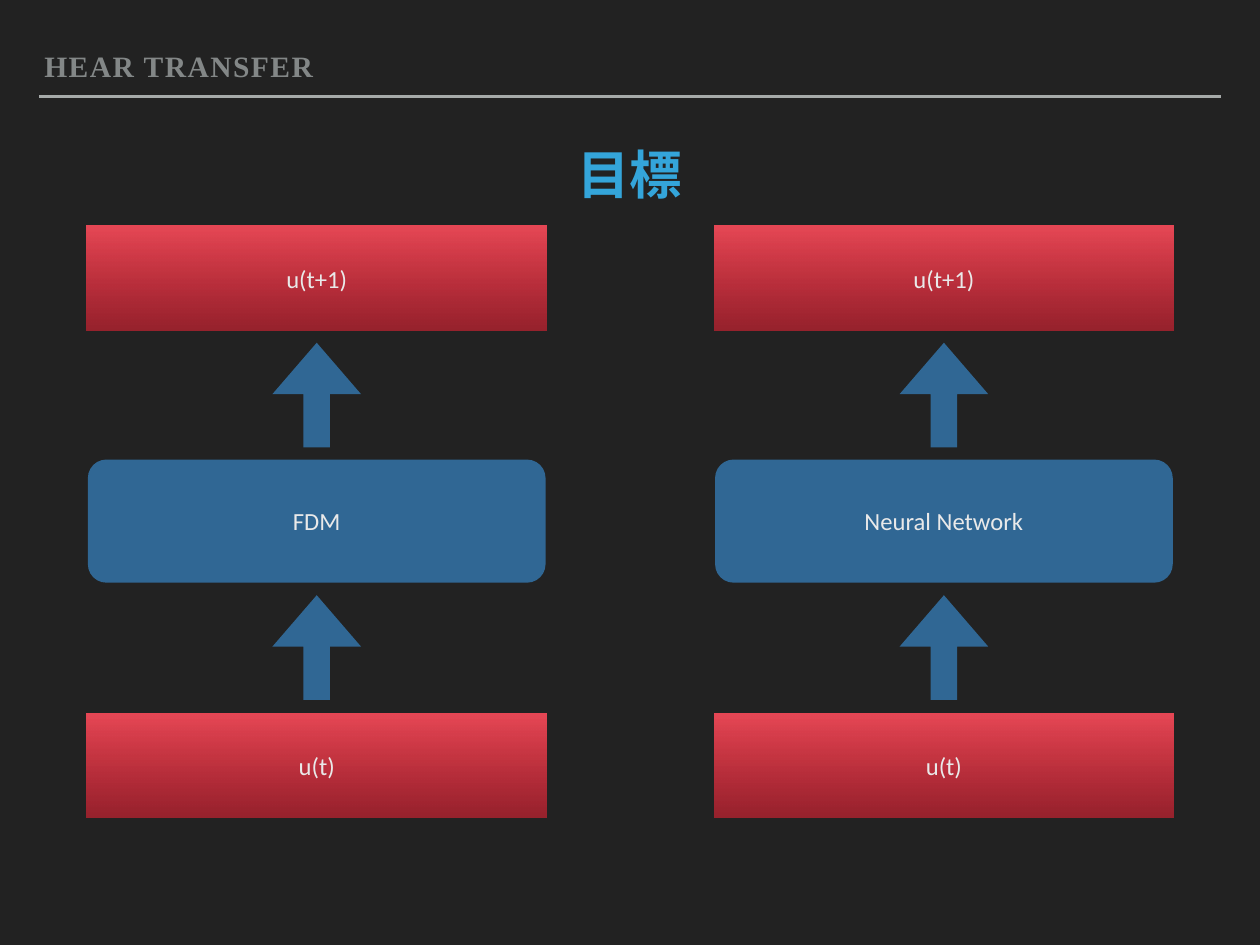
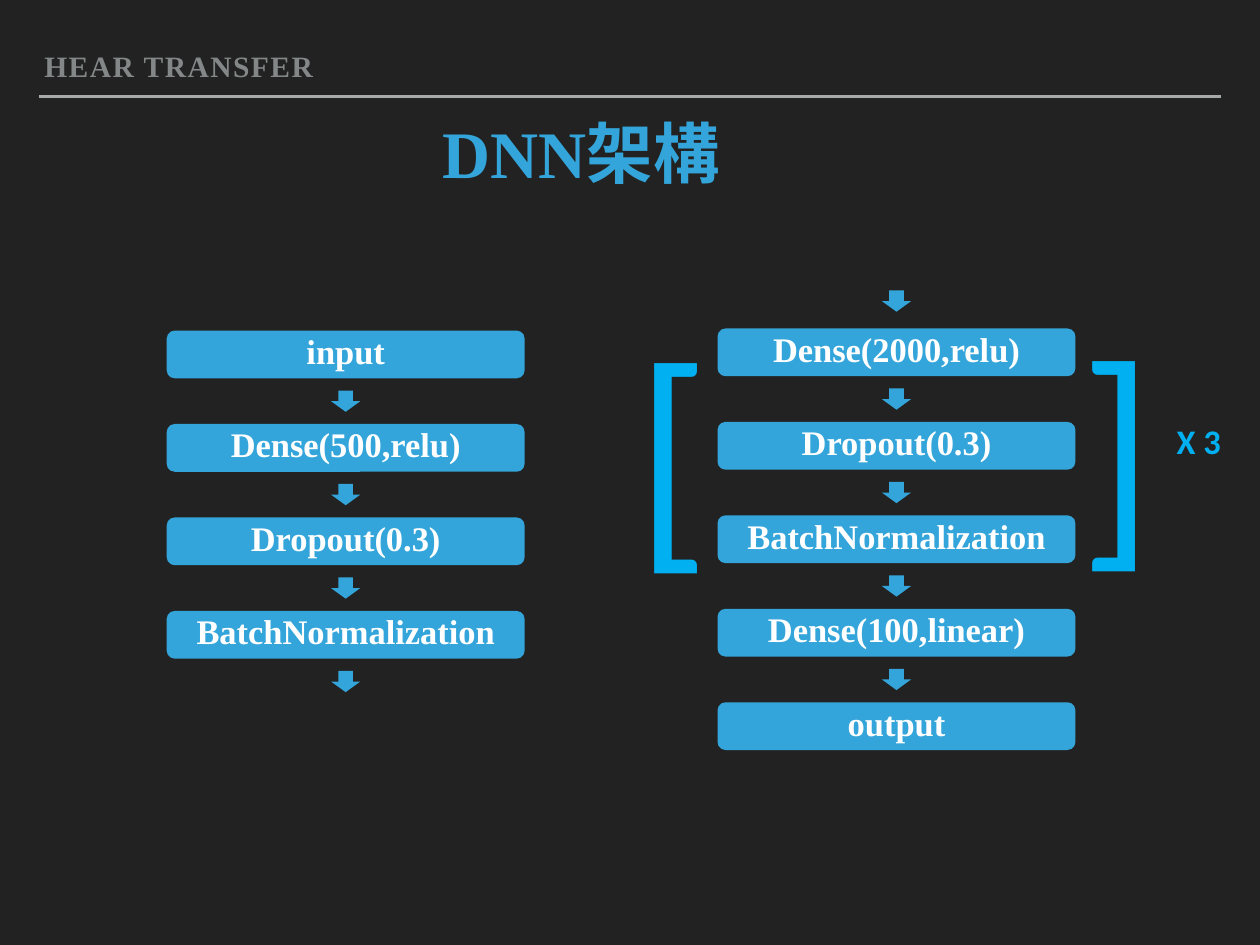
from dataclasses import dataclass

import lxml.etree
import pptx
import pptx.dml.color
import pptx.enum.shapes
import pptx.enum.text
import pptx.oxml.ns
import pptx.presentation
import pptx.shapes.autoshape
import pptx.shapes.base
import pptx.slide
import pptx.text.text
import pptx.util

Cm = pptx.util.Cm
Pt = pptx.util.Pt
RGB = pptx.dml.color.RGBColor
Shape = pptx.enum.shapes.MSO_SHAPE
Align = pptx.enum.text.PP_ALIGN
Anchor = pptx.enum.text.MSO_ANCHOR
qn = pptx.oxml.ns.qn


@dataclass(frozen=True)
class TextStyle:
    size: float
    color: str
    font: str = "Times New Roman"
    bold: bool = True
    align: Align = Align.CENTER
    anchor: Anchor = Anchor.MIDDLE
    line_spacing: float = 0.8
    wrap: bool = True


@dataclass(frozen=True)
class Theme:
    background: str = "222222"
    rule: str = "A6AAA9"
    sky: str = "34A5DA"
    steel: str = "306794"
    red_top: str = "E84856"
    red_bottom: str = "E32335"
    red_bottom_alpha: int = 60
    inset: float = 0.15
    header: TextStyle = TextStyle(24, "838787", align=Align.LEFT, anchor=Anchor.BOTTOM)
    goal_title: TextStyle = TextStyle(42.6, "34A5DA", anchor=Anchor.TOP)
    network_title: TextStyle = TextStyle(54, "34A5DA", anchor=Anchor.TOP)
    state: TextStyle = TextStyle(20, "E9E9E9", "Calibri", False, line_spacing=1)
    layer: TextStyle = TextStyle(28, "FFFFFF")
    repeat: TextStyle = TextStyle(28, "00B0F0", "Calibri", align=Align.LEFT, line_spacing=1)
    bracket: TextStyle = TextStyle(
        199, "00B0F0", "Calibri", False, Align.LEFT, line_spacing=1, wrap=False
    )


@dataclass(frozen=True)
class Area:
    left: float
    top: float
    width: float
    height: float

    def lengths(self) -> tuple[int, int, int, int]:
        return Cm(self.left), Cm(self.top), Cm(self.width), Cm(self.height)


@dataclass(frozen=True)
class LayerStack:
    left: float
    top: float
    layers: tuple[str, ...]
    arrow_in: bool = False
    arrow_out: bool = False


THEME = Theme()
HEADER_AREA = Area(1.12, 1.42, 31.04, 1.12)

MODEL_LEFT, MODEL_STEP, MODEL_WIDTH = 2.49, 17.98, 13.18
MODELS = ("FDM", "Neural Network")
STATES = (("u(t+1)", 6.48), ("u(t)", 20.45))
UP_ARROW_TOPS = (9.83, 17.07)

LAYER_WIDTH, LAYER_HEIGHT, LAYER_STEP = 10.26, 1.37, 2.68
DOWN_ARROW_WIDTH, DOWN_ARROW_HEIGHT = 0.84, 0.61
ARROW_AFTER, ARROW_BEFORE = 1.72, 1.09
STACKS = (
    LayerStack(
        4.78,
        9.48,
        ("input", "Dense(500,relu)", "Dropout(0.3)", "BatchNormalization"),
        arrow_out=True,
    ),
    LayerStack(
        20.57,
        9.42,
        ("Dense(2000,relu)", "Dropout(0.3)", "BatchNormalization", "Dense(100,linear)", "output"),
        arrow_in=True,
    ),
)
NOTES = (
    ("X 3", Area(33.58, 11.46, 1.83, 2.34), THEME.repeat),
    ("[", Area(18.06, 7.87, 2.51, 9.65), THEME.bracket),
    ("]", Area(30.81, 7.8, 2.51, 9.65), THEME.bracket),
)


def write(frame: pptx.text.text.TextFrame, text: str, style: TextStyle) -> None:
    frame.text = text
    frame.auto_size = pptx.enum.text.MSO_AUTO_SIZE.NONE
    frame.word_wrap = style.wrap
    frame.vertical_anchor = style.anchor
    frame.margin_left = frame.margin_right = Cm(THEME.inset)
    frame.margin_top = frame.margin_bottom = Cm(THEME.inset)
    para = frame.paragraphs[0]
    para.alignment = style.align
    para.line_spacing = style.line_spacing
    para.space_before = Pt(0)
    font = para.runs[0].font
    font.name = style.font
    font.size = Pt(style.size)
    font.bold = style.bold
    font.color.rgb = RGB.from_string(style.color)


def place(shape: pptx.shapes.base.BaseShape, area: Area) -> None:
    shape.left, shape.top, shape.width, shape.height = area.lengths()


def add_block(
    page: pptx.slide.Slide, kind: Shape, area: Area, color: str
) -> pptx.shapes.autoshape.Shape:
    block = page.shapes.add_shape(kind, *area.lengths())
    block.shadow.inherit = False
    block.line.fill.background()
    block.fill.solid()
    block.fill.fore_color.rgb = RGB.from_string(color)
    return block


def shade_red(block: pptx.shapes.autoshape.Shape) -> None:
    block.fill.gradient()
    block.fill.gradient_angle = 270
    for stop, color in zip(block.fill.gradient_stops, (THEME.red_top, THEME.red_bottom)):
        stop.color.rgb = RGB.from_string(color)
    last_color = list(block._element.spPr.iter(qn("a:srgbClr")))[-1]
    alpha = lxml.etree.SubElement(last_color, qn("a:alpha"))
    alpha.set("val", str(THEME.red_bottom_alpha * 1000))


def add_page(
    deck: pptx.presentation.Presentation, title: str, area: Area, style: TextStyle
) -> pptx.slide.Slide:
    page = deck.slides.add_slide(deck.slide_layouts[1])
    rule = page.shapes.add_connector(
        pptx.enum.shapes.MSO_CONNECTOR.STRAIGHT, Cm(1.12), Cm(2.77), Cm(35), Cm(2.77)
    )
    rule.line.color.rgb = RGB.from_string(THEME.rule)
    rule.line.width = Pt(2)
    lxml.etree.SubElement(rule._element.spPr, qn("a:effectLst"))

    place(page.shapes.title, area)
    write(page.shapes.title.text_frame, title, style)

    header = page.placeholders[1]
    place(header, HEADER_AREA)
    write(header.text_frame, "HEAR TRANSFER", THEME.header)
    para = header.text_frame.paragraphs[0]
    properties = para._p.get_or_add_pPr()
    properties.set("marL", "0")
    properties.set("indent", "0")
    lxml.etree.SubElement(properties, qn("a:buNone"))
    para.runs[0].font._element.set("spc", "120")
    return page


def add_model(page: pptx.slide.Slide, left: float, name: str) -> None:
    for label, top in STATES:
        state = add_block(page, Shape.RECTANGLE, Area(left, top, MODEL_WIDTH, 3), THEME.red_top)
        shade_red(state)
        write(state.text_frame, label, THEME.state)
    model = add_block(
        page,
        Shape.ROUNDED_RECTANGLE,
        Area(left + 0.03, 13.18, MODEL_WIDTH - 0.06, 3.53),
        THEME.steel,
    )
    model.adjustments[0] = 0.15
    write(model.text_frame, name, THEME.state)
    for top in UP_ARROW_TOPS:
        area = Area(left + (MODEL_WIDTH - 2.54) / 2, top, 2.54, 3)
        arrow = add_block(page, Shape.UP_ARROW, area, THEME.steel)
        arrow.adjustments[0] = 0.3
        arrow.adjustments[1] = 0.58


def add_stack(page: pptx.slide.Slide, stack: LayerStack) -> None:
    tops = [stack.top + index * LAYER_STEP for index in range(len(stack.layers))]
    for label, top in zip(stack.layers, tops):
        area = Area(stack.left, top, LAYER_WIDTH, LAYER_HEIGHT)
        layer = add_block(page, Shape.ROUNDED_RECTANGLE, area, THEME.sky)
        write(layer.text_frame, label, THEME.layer)

    arrow_tops = [top + ARROW_AFTER for top in (tops if stack.arrow_out else tops[:-1])]
    if stack.arrow_in:
        arrow_tops.insert(0, stack.top - ARROW_BEFORE)
    arrow_left = stack.left + (LAYER_WIDTH - DOWN_ARROW_WIDTH) / 2
    for top in arrow_tops:
        area = Area(arrow_left, top, DOWN_ARROW_WIDTH, DOWN_ARROW_HEIGHT)
        add_block(page, Shape.DOWN_ARROW, area, THEME.sky)


def add_goal_page(deck: pptx.presentation.Presentation) -> None:
    page = add_page(deck, "目標", Area(1.12, 4.27, 33.87, 2.01), THEME.goal_title)
    for index, name in enumerate(MODELS):
        add_model(page, MODEL_LEFT + index * MODEL_STEP, name)


def add_network_page(deck: pptx.presentation.Presentation) -> None:
    page = add_page(deck, "DNN架構", Area(12.14, 3.51, 9.04, 2.01), THEME.network_title)
    for stack in STACKS:
        add_stack(page, stack)
    for text, area, style in NOTES:
        box = page.shapes.add_textbox(*area.lengths())
        write(box.text_frame, text, style)


def main() -> None:
    deck = pptx.Presentation()
    deck.slide_width, deck.slide_height = Cm(36.12), Cm(27.1)
    backdrop = deck.slide_master.background.fill
    backdrop.solid()
    backdrop.fore_color.rgb = RGB.from_string(THEME.background)
    add_goal_page(deck)
    add_network_page(deck)
    deck.save("out.pptx")


if __name__ == "__main__":
    main()
